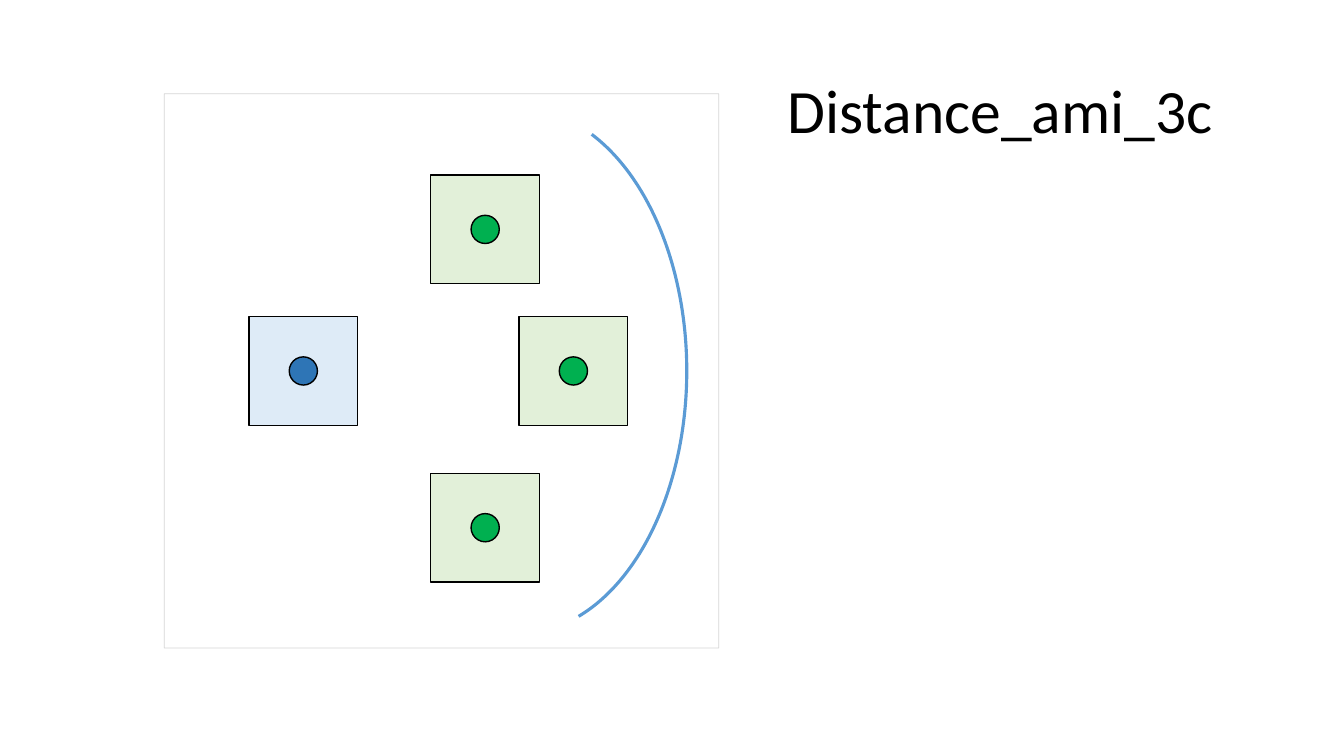
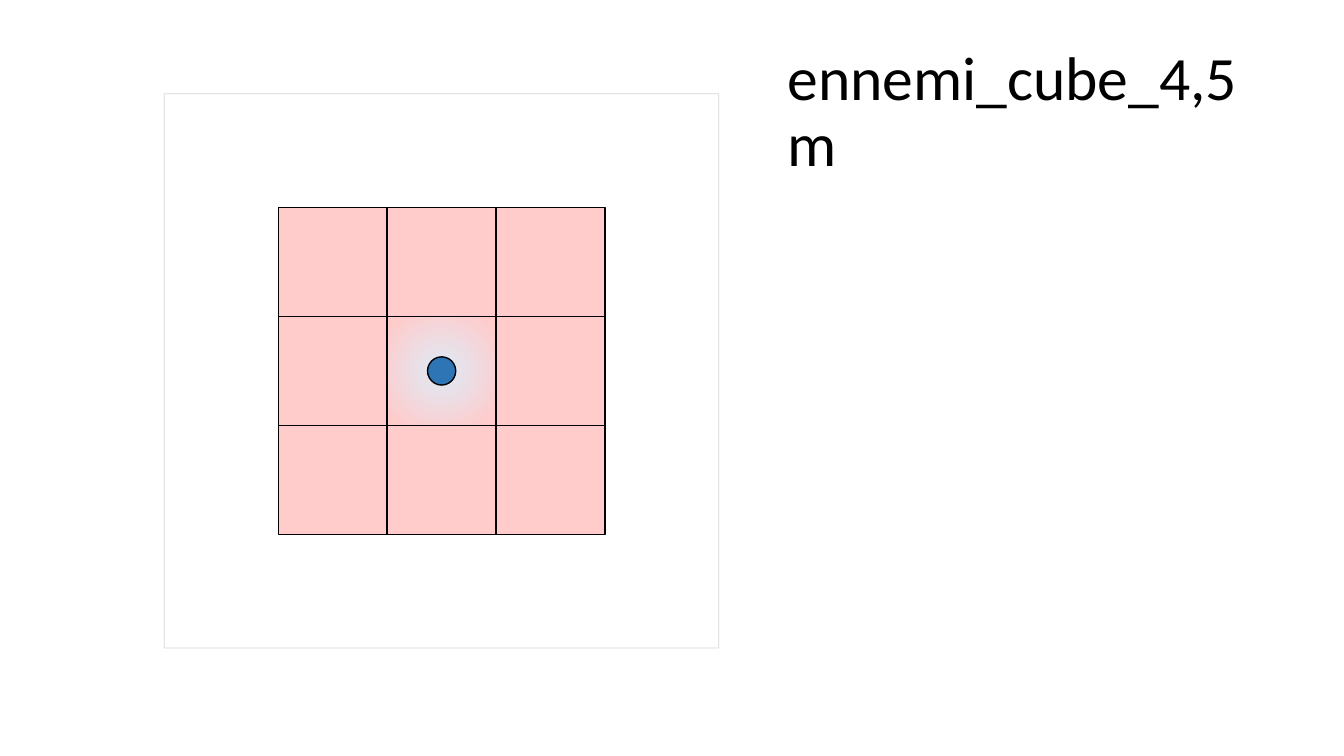
"""Two board diagrams: allies within a distance, and enemies around a cube."""
from dataclasses import dataclass
from itertools import product

from lxml import etree
from pptx import Presentation
from pptx.dml.color import RGBColor
from pptx.enum.shapes import MSO_SHAPE
from pptx.enum.text import MSO_ANCHOR, MSO_AUTO_SIZE, PP_ALIGN
from pptx.oxml import parse_xml
from pptx.oxml.ns import nsdecls, qn
from pptx.util import Inches, Pt

RECT, OVAL, ARC = MSO_SHAPE.RECTANGLE, MSO_SHAPE.OVAL, MSO_SHAPE.ARC
MIDDLE, LEFT, NO_FIT = MSO_ANCHOR.MIDDLE, PP_ALIGN.LEFT, MSO_AUTO_SIZE.NONE

SLIDE_W, SLIDE_H = 13.33, 7.5
BOARD_X, BOARD_Y = 4.38, 3.68
BOARD, CELL, DOT = 5.5, 1.08, 0.28
TITLE_BOX = (7.71, 0.4, 4.7, 1.45)
REACH_CENTRE, REACH_W, REACH_H = (0.71, 0), 3.33, 5.21
REACH_ANGLES = (172.26, 45.8)
HERO_AT = (-1.27, 0)
ALLIES_AT = [(1.21, 0), (0.4, -1.3), (0.4, 1.44)]


@dataclass(frozen=True)
class Theme:
    """Colours, type and line widths shared by the slides."""
    font: str = "Calibri"
    title_size: float = 44
    ink: str = "000000"
    frame: str = "A6A6A6"
    frame_alpha: int = 45
    hero: str = "2E75B6"
    hero_cell: str = "DEEBF7"
    ally: str = "00B050"
    ally_cell: str = "E2F0D9"
    enemy_cell: str = "FFCBCB"
    reach: str = "5B9BD5"
    thin: float = 0.5
    outline: float = 1
    thick: float = 2.25


THEME = Theme()


def apply_format(target, values):
    """Set every attribute named in values."""
    for name, value in values.items():
        setattr(target, name, value)


def add_title(slide, text):
    """Place and style the title placeholder."""
    title = slide.shapes.title
    title.text = text
    places = dict(zip(("left", "top", "width", "height"), map(Inches, TITLE_BOX)))
    apply_format(title, places)
    apply_format(title.text_frame, {
        "vertical_anchor": MIDDLE, "word_wrap": True, "auto_size": NO_FIT})
    paragraph = title.text_frame.paragraphs[0]
    apply_format(paragraph, {"alignment": LEFT, "line_spacing": 0.9})
    font = paragraph.runs[0].font
    apply_format(font, {"name": THEME.font, "size": Pt(THEME.title_size)})
    font.color.rgb = RGBColor.from_string(THEME.ink)


def add_figure(shapes, kind, centre, width, height, fill=None,
               line=THEME.ink, weight=THEME.outline):
    """Draw a preset shape centred at an offset, in cells, from the board centre."""
    column, row = centre
    left = BOARD_X + column * CELL - width / 2
    top = BOARD_Y + row * CELL - height / 2
    figure = shapes.add_shape(kind, *map(Inches, (left, top, width, height)))
    figure.shadow.inherit = False
    if fill:
        figure.fill.solid()
        figure.fill.fore_color.rgb = RGBColor.from_string(fill)
    else:
        figure.fill.background()
    figure.line.color.rgb = RGBColor.from_string(line)
    figure.line.width = Pt(weight)
    return figure


def add_cell(shapes, centre, fill):
    """Draw one square of the board."""
    return add_figure(shapes, RECT, centre, CELL, CELL, fill)


def add_token(slide, centre, cell_fill, dot_fill):
    """Group a square with the dot at its middle and return the square."""
    members = slide.shapes.add_group_shape().shapes
    cell = add_cell(members, centre, cell_fill)
    add_figure(members, OVAL, centre, DOT, DOT, dot_fill)
    return cell


def add_glow(cell, inner, outer):
    """Replace a solid fill by a circular gradient."""
    stops = "".join(
        f'<a:gs pos="{share * 1000}"><a:srgbClr val="{colour}"/></a:gs>'
        for share, colour in ((0, inner), (90, outer)))
    sides = " ".join(f'{side}="50000"' for side in "ltrb")
    gradient = parse_xml(
        f'<a:gradFill {nsdecls("a")} rotWithShape="1"><a:gsLst>{stops}</a:gsLst>'
        f'<a:path path="circle"><a:fillToRect {sides}/></a:path></a:gradFill>')
    properties = cell.element.spPr
    properties.replace(properties.find(qn("a:solidFill")), gradient)


def add_board(slide):
    """Draw the pale frame of the board."""
    frame = add_figure(slide.shapes, RECT, (0, 0), BOARD, BOARD,
                       line=THEME.frame, weight=THEME.thin)
    colour = frame.element.spPr.find(qn("a:ln")).find(".//" + qn("a:srgbClr"))
    etree.SubElement(colour, qn("a:alpha"), val=str(THEME.frame_alpha * 1000))


def add_reach(slide):
    """Draw the arc that limits the distance."""
    reach = add_figure(slide.shapes, ARC, REACH_CENTRE, REACH_W, REACH_H,
                       line=THEME.reach, weight=THEME.thick)
    for index, angle in enumerate(REACH_ANGLES):
        reach.adjustments[index] = angle


def start_slide(deck, title):
    """Add a slide with its title and an empty board."""
    slide = deck.slides.add_slide(deck.slide_layouts[5])
    add_title(slide, title)
    add_board(slide)
    return slide


def build_distance(deck):
    """Show the hero, three allies and the reach."""
    slide = start_slide(deck, "Distance_ami_3c")
    add_token(slide, HERO_AT, THEME.hero_cell, THEME.hero)
    for ally in ALLIES_AT:
        add_token(slide, ally, THEME.ally_cell, THEME.ally)
    add_reach(slide)


def build_cube(deck):
    """Show the hero inside a ring of enemy squares."""
    slide = start_slide(deck, "ennemi_cube_4,5m")
    centre = (0, 0)
    hero_cell = add_token(slide, centre, THEME.enemy_cell, THEME.hero)
    add_glow(hero_cell, THEME.hero_cell, THEME.enemy_cell)
    for place in product((-1, 0, 1), repeat=2):
        if place != centre:
            add_cell(slide.shapes, place, THEME.enemy_cell)


def main():
    """Build and save the deck."""
    deck = Presentation()
    apply_format(deck, {"slide_width": Inches(SLIDE_W),
                        "slide_height": Inches(SLIDE_H)})
    build_distance(deck)
    build_cube(deck)
    deck.save("out.pptx")


main()
